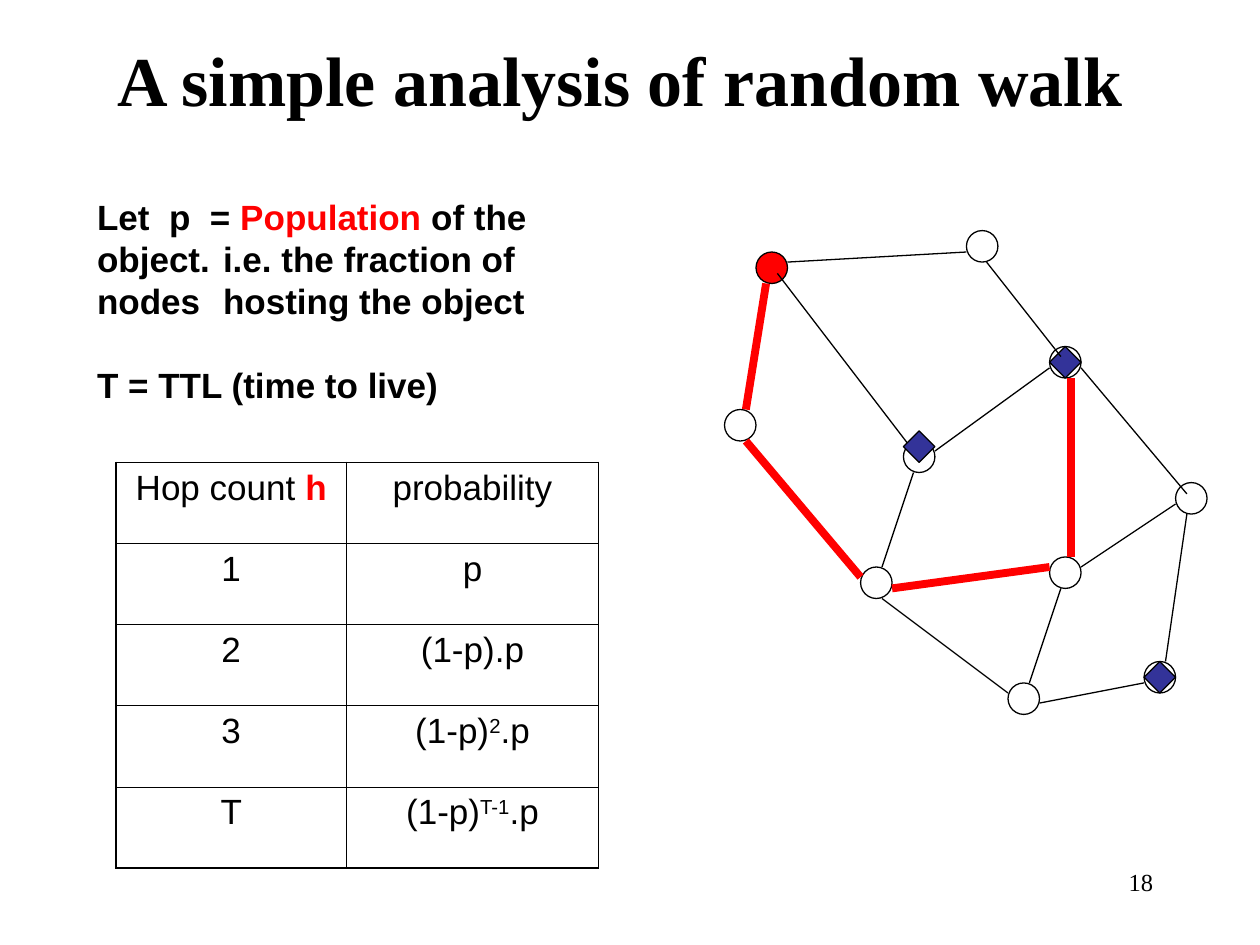
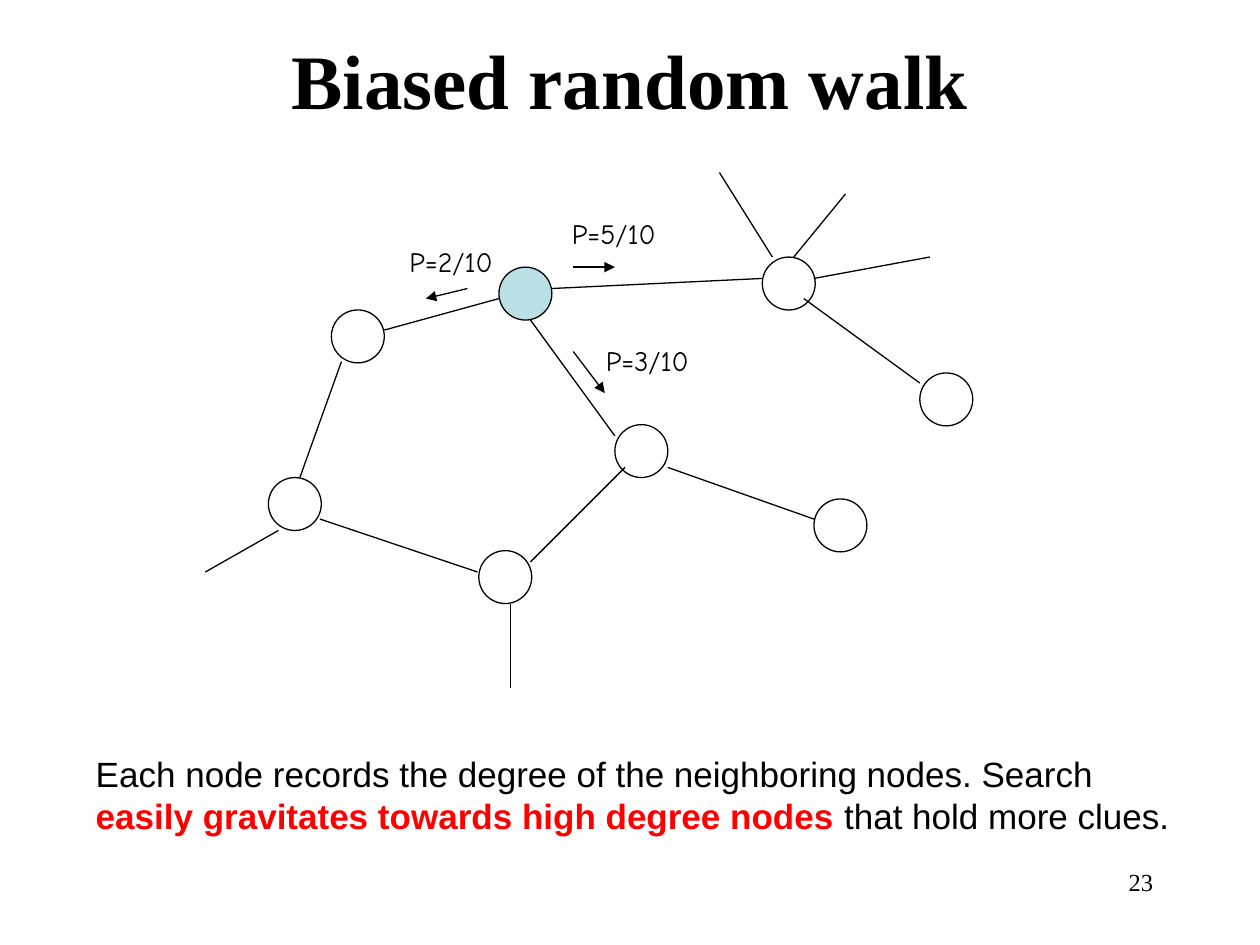
from pptx import Presentation
from pptx.dml.color import RGBColor
from pptx.enum.shapes import MSO_CONNECTOR, MSO_SHAPE
from pptx.enum.text import MSO_ANCHOR, MSO_AUTO_SIZE, PP_ALIGN
from pptx.oxml.ns import qn
from pptx.util import Inches, Pt
from lxml.etree import SubElement

HUES = {"ink": "000000", "red": "FF0000", "navy": "333399", "aqua": "BBE0E3"}
SERIF, SANS, COMIC = "Times New Roman", "Arial", "Comic Neue"

WALK = {
    "title": "A simple analysis of random walk",
    "place": (0.67, 0, 8.5, 1.25),
    "size": 40,
    "page": "18",
    "body": [
        [("Let  p  = ", {"bold": True}),
         ("Population", {"bold": True, "hue": "red"}),
         (" of the object. \ti.e. the fraction of nodes \thosting the object", {"bold": True})],
        [("T = TTL (time to live)", {"bold": True})],
    ],
    "area": (0.67, 1.5, 4.33, 2.1),
    "gap": 24,
    "node": 0.25,
    "nodes": [(6, 2, "red"), (7.17, 3.5), (5.75, 3.25), (7.67, 1.83), (6.83, 4.5),
              (8.33, 2.75), (8.33, 4.42), (8, 5.42), (9.08, 5.25), (9.33, 3.83)],
    "edges": [
        (6.25, 2.08, 7.67, 2), (6.17, 2.17, 7.25, 3.58), (7.25, 3.75, 7, 4.5),
        (7.42, 3.58, 8.33, 2.92), (8.42, 4.67, 8.17, 5.42), (7, 4.75, 8, 5.5),
        (8.58, 2.92, 9.42, 3.92), (8.58, 4.5, 9.33, 4), (9.42, 4.08, 9.25, 5.25),
        (8.25, 5.58, 9.08, 5.42),
    ],
    "route": [(6.08, 2.25, 5.92, 3.25), (5.92, 3.5, 6.83, 4.58),
              (7.08, 4.67, 8.33, 4.5), (8.5, 3, 8.5, 4.42)],
    "hosts": [(8.33, 2.75), (7.17, 3.42), (9.08, 5.25)],
    "over": [(7.83, 2.08, 8.42, 2.83)],
}

ODDS = [
    [[("Hop count ", {}), ("h", {"hue": "red", "bold": True})], [("probability", {})]],
    [[("1", {})], [("p", {})]],
    [[("2", {})], [("(1-p).p", {})]],
    [[("3", {})], [("(1-p)", {}), ("2", {"raised": True}), (".p", {})]],
    [[("T", {})], [("(1-p)", {}), ("T-1", {"raised": True}), (".p", {})]],
]
GRID = (0.92, 3.67, 3.83, 3.22)
COLS = (1.83, 2)

BIAS = {
    "title": "Biased random walk",
    "place": (0.75, 0, 8.5, 1.25),
    "size": 44,
    "page": "23",
    "body": [
        [("Each node records the degree of the neighboring nodes. Search", {})],
        [("easily gravitates towards high degree nodes", {"hue": "red", "bold": True}),
         (" that hold more clues.", {})],
    ],
    "area": (0.66, 5.92, 8.9, 0.77),
    "gap": 0,
    "node": 0.42,
    "nodes": [(2.63, 2.46), (3.96, 2.12, "aqua"), (6.46, 3.96), (6.05, 2.04),
              (3.8, 4.37), (2.13, 3.79), (4.88, 3.37), (7.3, 2.96)],
    "edges": [
        (4.38, 2.29, 6.05, 2.21), (4.21, 2.54, 4.88, 3.46), (3.96, 2.37, 3.05, 2.62),
        (6.38, 2.37, 7.3, 3.04), (6.46, 2.21, 7.38, 2.04), (6.3, 2.04, 6.71, 1.54),
        (6.13, 2.04, 5.71, 1.37), (5.3, 3.71, 6.46, 4.12), (4.96, 3.71, 4.21, 4.46),
        (3.79, 4.54, 2.54, 4.12), (2.38, 3.79, 2.71, 2.87), (2.21, 4.21, 1.63, 4.54),
        (4.05, 4.79, 4.05, 5.46),
    ],
}
MOVES = [
    ("P=5/10", (4.44, 1.67), (4.55, 2.12, 4.88, 2.12)),
    ("P=3/10", (4.71, 2.68), (4.55, 2.79, 4.8, 3.12)),
    ("P=2/10", (3.15, 1.89), (3.71, 2.29, 3.38, 2.37)),
]


def apply(item, looks):
    for name, value in looks.items():
        setattr(item, name, value)


def paint(hue):
    return RGBColor.from_string(HUES[hue])


def put(shape, area):
    apply(shape, dict(zip(("left", "top", "width", "height"), map(Inches, area))))


def write(para, runs, face, size):
    for text, look in runs:
        run = para.add_run()
        run.text = text
        apply(run.font, {"name": face, "size": Pt(size), "bold": look.get("bold", False)})
        run.font.color.rgb = paint(look.get("hue", "ink"))
        if look.get("raised"):
            run._r.get_or_add_rPr().set("baseline", "30000")


def label(slide, text, area, face, size, align=PP_ALIGN.LEFT):
    frame = slide.shapes.add_textbox(*map(Inches, area)).text_frame
    frame.word_wrap = True
    frame.paragraphs[0].alignment = align
    write(frame.paragraphs[0], [(text, {})], face, size)


def link(slide, ends, hue="ink", width=0.75, arrow=False):
    line = slide.shapes.add_connector(MSO_CONNECTOR.STRAIGHT, *map(Inches, ends))
    line.line.color.rgb = paint(hue)
    line.line.width = Pt(width)
    if arrow:
        SubElement(line.line._get_or_add_ln(), qn("a:tailEnd"), type="triangle")
    SubElement(line._element.spPr, qn("a:effectLst"))


def mark(slide, kind, spot, size, hue=None):
    shape = slide.shapes.add_shape(kind, *map(Inches, (*spot, size, size)))
    shape.shadow.inherit = False
    if hue:
        shape.fill.solid()
        shape.fill.fore_color.rgb = paint(hue)
    else:
        shape.fill.background()
    shape.line.color.rgb = paint("ink")
    shape.line.width = Pt(0.75)


def fill_body(shape, data):
    put(shape, data["area"])
    frame = shape.text_frame
    apply(frame, {"word_wrap": True, "auto_size": MSO_AUTO_SIZE.NONE,
                  "vertical_anchor": MSO_ANCHOR.TOP})
    for row, runs in enumerate(data["body"]):
        para = frame.add_paragraph() if row else frame.paragraphs[0]
        props = para._p.get_or_add_pPr()
        apply(para, {"space_before": Pt(data["gap"] if row else 0), "alignment": PP_ALIGN.LEFT})
        props.set("marL", "0")
        props.set("indent", "0")
        SubElement(props, qn("a:buNone"))
        tabs = SubElement(props, qn("a:tabLst"))
        for inch in range(1, 8):
            SubElement(tabs, qn("a:tab"), pos=str(Inches(inch)), algn="l")
        write(para, runs, SANS, 20)


def start(deck, data):
    slide = deck.slides.add_slide(deck.slide_layouts[1])
    title = slide.shapes.title
    put(title, data["place"])
    apply(title.text_frame, {"vertical_anchor": MSO_ANCHOR.MIDDLE,
                             "auto_size": MSO_AUTO_SIZE.NONE, "word_wrap": True})
    para = title.text_frame.paragraphs[0]
    para.alignment = PP_ALIGN.CENTER
    write(para, [(data["title"], {"bold": True})], SERIF, data["size"])
    fill_body(slide.placeholders[1], data)
    label(slide, data["page"], (7.17, 6.83, 2.08, 0.5), SERIF, 14, PP_ALIGN.RIGHT)
    for left, top, *hue in data["nodes"]:
        mark(slide, MSO_SHAPE.OVAL, (left, top), data["node"], *hue)
    for ends in data["edges"]:
        link(slide, ends)
    return slide


def frame_cell(cell, sides):
    props = cell._tc.get_or_add_tcPr()
    for side, outer in sides.items():
        line = SubElement(props, qn("a:ln" + side), w=str(Pt(1.08 if outer else 0.45)))
        SubElement(SubElement(line, qn("a:solidFill")), qn("a:srgbClr"), val=HUES["ink"])
    cell.fill.background()


def add_odds(slide):
    table = slide.shapes.add_table(len(ODDS), len(COLS), *map(Inches, GRID)).table
    apply(table, {"first_row": False, "horz_banding": False})
    for col, width in zip(table.columns, COLS):
        col.width = Inches(width)
    for row in table.rows:
        row.height = Inches(GRID[3] / len(ODDS))
    for r, row in enumerate(ODDS):
        for c, runs in enumerate(row):
            cell = table.cell(r, c)
            para = cell.text_frame.paragraphs[0]
            para.alignment = PP_ALIGN.CENTER
            write(para, runs, SANS, 20)
            frame_cell(cell, {"L": c == 0, "R": c == len(COLS) - 1,
                              "T": r == 0, "B": r == len(ODDS) - 1})


def main():
    deck = Presentation()
    apply(deck, {"slide_width": Inches(10), "slide_height": Inches(7.5)})

    walk = start(deck, WALK)
    for ends in WALK["route"]:
        link(walk, ends, "red", 4.5)
    for spot in WALK["hosts"]:
        mark(walk, MSO_SHAPE.DIAMOND, spot, WALK["node"], "navy")
    for ends in WALK["over"]:
        link(walk, ends)
    add_odds(walk)

    bias = start(deck, BIAS)
    for text, spot, ends in MOVES:
        link(bias, ends, arrow=True)
        label(bias, text, (*spot, 0.95, 0.37), COMIC, 16)

    deck.save("out.pptx")


if __name__ == "__main__":
    main()
